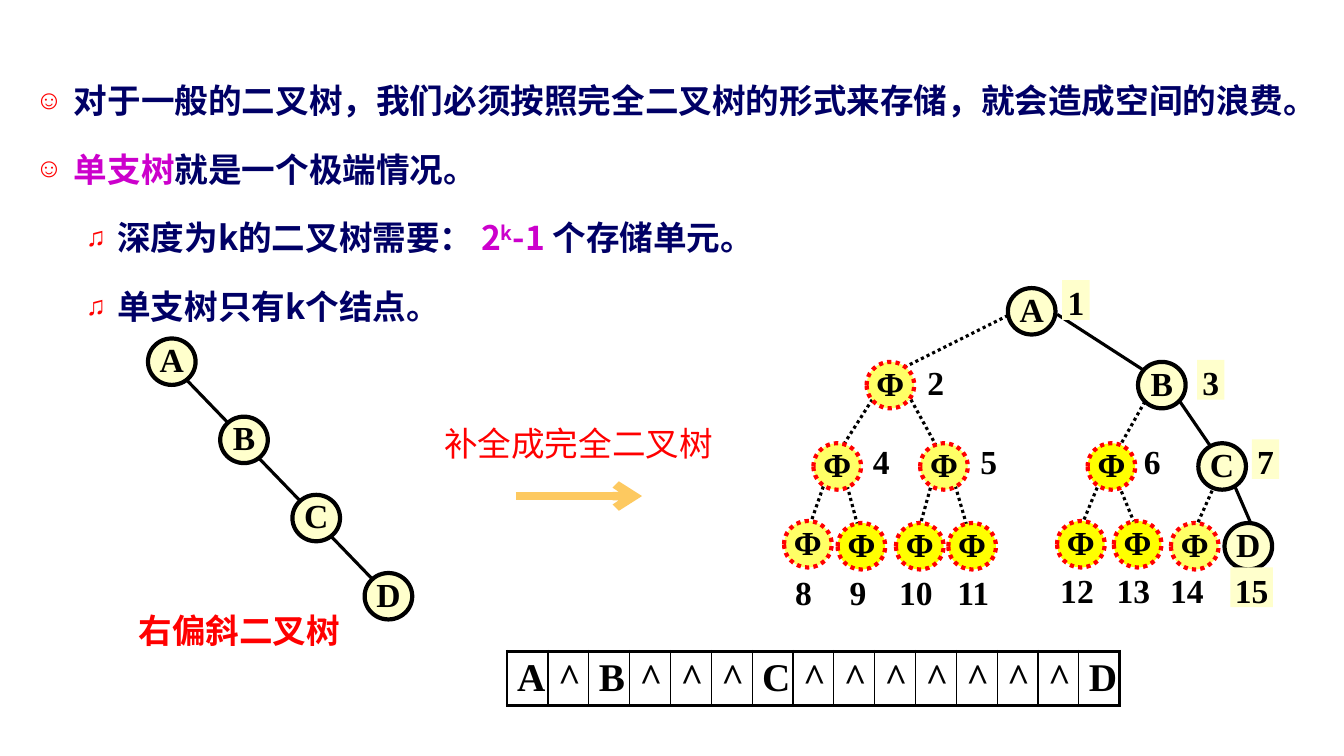
from lxml import etree
from pptx import Presentation
from pptx import util as u
from pptx.dml.color import RGBColor
from pptx.enum import dml, shapes, text
from pptx.oxml import ns

Cm, Pt = u.Cm, u.Pt
COLORS = {"navy": "000066", "purple": "CC00CC", "red": "FF0000", "black": "000000",
          "cream": "FFFFCC", "lemon": "FFFF66", "yellow": "FFFF00", "gold": "FDC960"}
CJK, SERIF = "Noto Sans CJK SC", "Times New Roman"
NODE_WIDTH, NODE_HEIGHT = 1.2, 1.17

BODY = [
    (0, [("对于一般的二叉树，我们必须按照完全二叉树的形式来存储，就会造成空间的浪费。", "navy")]),
    (0, [("单支树", "purple"), ("就是一个极端情况。", "navy")]),
    (1, [("深度为k的二叉树需要： ", "navy"), ("2", "purple"), ("k", "purple"),
         ("-1 ", "purple"), ("个存储单元。", "navy")]),
    (1, [("单支树只有k个结点。", "navy")]),
]
INDENTS = [("☺", 0.97, -0.97), ("♫", 2.06, -0.79)]

LETTERS = {1: "A", 3: "B", 7: "C", 15: "D"}
LEMON_NODES = {2, 4, 5, 8, 14}
NODES = [(5.64, 0.2), (2.08, 2.06), (8.92, 2.06), (0.74, 4.11), (3.43, 4.11),
         (7.65, 4.11), (10.44, 4.11), (0, 6.07), (1.35, 6.12), (2.82, 6.12),
         (4.14, 6.12), (6.88, 6.07), (8.31, 6.07), (9.75, 6.12), (11.1, 6.12)]
LABELS = [(7.01, 0), (3.61, 2.01), (10.41, 2.01), (2.24, 4.01), (4.95, 4.01),
          (9.07, 4.01), (11.79, 4.01), (0.28, 7.29), (1.65, 7.29), (2.9, 7.29),
          (4.37, 7.29), (6.96, 7.24), (8.38, 7.24), (9.73, 7.24), (11.25, 7.24)]
EDGES = [(5.64, 0.89, 2.9, 2.26), (6.88, 0.86, 9.17, 2.34), (2.31, 2.87, 1.45, 4.22),
         (3.12, 2.87, 3.86, 4.22), (9.17, 2.92, 8.41, 4.27), (9.88, 2.92, 10.77, 4.22),
         (1.04, 5.05, 0.64, 6.2), (1.55, 5.03, 1.85, 6.17), (3.73, 5.08, 3.43, 6.17),
         (4.27, 5.03, 4.6, 6.17), (7.95, 5.08, 7.49, 6.2), (8.38, 5.03, 8.86, 6.2),
         (10.85, 5.16, 10.41, 6.15), (11.33, 5.13, 11.76, 6.12)]


def rgb(name):
    """Return the named colour."""
    return RGBColor.from_string(COLORS[name])


def add_element(parent, tag, **attributes):
    """Append a DrawingML element to its parent."""
    return etree.SubElement(parent, ns.qn("a:" + tag), attributes)


def format_run(run, font, color, size=24, bold=True):
    """Set the face, size and colour of a run."""
    run.font.name, run.font.size, run.font.bold = font, Pt(size), bold
    run.font.color.rgb = rgb(color)
    add_element(run.font._element, "ea", typeface=font)


def write(shape, words, font, color, align, margins=(0, 0), bold=True, spacing=1.0):
    """Put one formatted paragraph into a shape."""
    frame = shape.text_frame
    frame.word_wrap = True
    frame.margin_left = frame.margin_right = 0
    frame.margin_top, frame.margin_bottom = [Cm(margin) for margin in margins]
    frame.text = words
    paragraph = frame.paragraphs[0]
    paragraph.alignment = align
    paragraph.line_spacing = spacing
    format_run(paragraph.runs[0], font, color, bold=bold)


def add_line(slide, start, end, color="black", width=2.25, dotted=False):
    """Draw a straight line between two points in centimetres."""
    line = slide.shapes.add_connector(
        shapes.MSO_CONNECTOR.STRAIGHT, *[Cm(value) for value in (*start, *end)])
    line.line.color.rgb = rgb(color)
    line.line.width = Pt(width)
    if dotted:
        line.line.dash_style = dml.MSO_LINE.ROUND_DOT
    add_element(line._element.spPr, "effectLst")
    return line


def add_node(slide, left, top, letter, fill="cream", dotted=False):
    """Draw a round tree node with its letter."""
    node = slide.shapes.add_shape(shapes.MSO_SHAPE.OVAL, Cm(left), Cm(top),
                                  Cm(NODE_WIDTH), Cm(NODE_HEIGHT))
    node.shadow.inherit = False
    node.fill.solid()
    node.fill.fore_color.rgb = rgb(fill)
    node.line.color.rgb = rgb("red" if dotted else "black")
    node.line.width = Pt(3)
    if dotted:
        node.line.dash_style = dml.MSO_LINE.ROUND_DOT
    node.text_frame.vertical_anchor = text.MSO_ANCHOR.MIDDLE
    write(node, letter, SERIF, "black", text.PP_ALIGN.CENTER, spacing=0.9)


def add_caption(slide, left, top, width, words, bold):
    """Add a centred red caption."""
    caption = slide.shapes.add_textbox(Cm(left), Cm(top), Cm(width), Cm(1.27))
    write(caption, words, CJK, "red", text.PP_ALIGN.CENTER, (0.13, 0.13), bold)


def fill_body(slide, left, top, width, height):
    """Place the bulleted statements in the body placeholder."""
    body = slide.placeholders[1]
    body.left, body.top, body.width, body.height = Cm(left), Cm(top), Cm(width), Cm(height)
    frame = body.text_frame
    frame.auto_size = text.MSO_AUTO_SIZE.NONE
    frame.vertical_anchor = text.MSO_ANCHOR.TOP
    for index, (level, parts) in enumerate(BODY):
        paragraph = frame.paragraphs[0] if index == 0 else frame.add_paragraph()
        paragraph.level = level
        bullet, margin, indent = INDENTS[level]
        properties = paragraph._p.get_or_add_pPr()
        properties.set("marL", str(Cm(margin)))
        properties.set("indent", str(Cm(indent)))
        add_element(add_element(properties, "buClr"), "srgbClr", val=COLORS["red"])
        add_element(properties, "buSzPct", val="80000")
        add_element(properties, "buChar", char=bullet)
        paragraph.line_spacing = 1.5
        paragraph.space_before = Pt(6 if index else 0)
        for words, color in parts:
            run = paragraph.add_run()
            run.text = words
            format_run(run, CJK, color)
            if words == "k":
                run.font._element.set("baseline", "30000")


def add_skewed_tree(slide, left, top):
    """Draw the right-skewed tree and its caption."""
    step_x, step_y = 1.82, 1.97
    for index, letter in enumerate("ABCD"):
        x, y = left + index * step_x, top + index * step_y
        if index:
            add_line(slide, (x - 0.87, y - 0.95), (x + 0.23, y + 0.19))
        add_node(slide, x, y, letter)
    add_caption(slide, left - 1.27, top + 6.71, 7.14, "右偏斜二叉树", True)


def add_complete_tree(slide, left, top):
    """Draw the completed tree with numbered nodes."""
    for number, (x1, y1, x2, y2) in enumerate(EDGES, 2):
        add_line(slide, (left + x1, top + y1), (left + x2, top + y2),
                 dotted=number not in LETTERS)
    for number, (x, y) in enumerate(NODES, 1):
        real = number in LETTERS
        fill = "cream" if real else "lemon" if number in LEMON_NODES else "yellow"
        add_node(slide, left + x, top + y, LETTERS.get(number, "Φ"), fill, not real)
    for number, (x, y) in enumerate(LABELS, 1):
        label = slide.shapes.add_textbox(Cm(left + x), Cm(top + y),
                                         Cm(0.69 if number < 10 else 1.07), Cm(1))
        align = text.PP_ALIGN.JUSTIFY
        if number in LETTERS:
            label.fill.solid()
            label.fill.fore_color.rgb = rgb("cream")
            align = text.PP_ALIGN.CENTER
        write(label, str(number), SERIF, "black", align, (0.05, 0))


def add_completion_arrow(slide, left, top):
    """Draw the arrow between the trees with its caption."""
    add_caption(slide, left, top, 8.64, "补全成完全二叉树", False)
    arrow = add_line(slide, (left + 2.74, top + 1.98), (left + 5.92, top + 1.98), "gold", 6)
    add_element(arrow.line._get_or_add_ln(), "tailEnd", type="arrow")


def add_storage_table(slide, left, top, width, height):
    """Show the array that stores the completed tree."""
    count = len(NODES)
    table = slide.shapes.add_table(1, count, Cm(left), Cm(top), Cm(width), Cm(height)).table
    table.first_row = table.horz_banding = False
    for index, cell in enumerate(table.rows[0].cells):
        table.columns[index].width = Cm(width / count)
        cell.text_frame.text = LETTERS.get(index + 1, "^")
        format_run(cell.text_frame.paragraphs[0].runs[0], SERIF, "black", 28)
        properties = cell._tc.get_or_add_tcPr()
        widths = {"lnL": 1 if index else 2.25, "lnR": 1 if index < count - 1 else 2.25,
                  "lnT": 2.25, "lnB": 2.25}
        for side, points in widths.items():
            border = add_element(properties, side, w=str(Pt(points)))
            add_element(add_element(border, "solidFill"), "srgbClr", val=COLORS["black"])
        cell.fill.background()


def main():
    """Build and save the slide."""
    presentation = Presentation()
    presentation.slide_width, presentation.slide_height = Cm(33.87), Cm(19.05)
    slide = presentation.slides.add_slide(presentation.slide_layouts[1])
    title = slide.shapes.title._element
    title.getparent().remove(title)
    fill_body(slide, 0.64, 1.37, 32.82, 11.94)
    add_storage_table(slide, 12.78, 16.41, 15.44, 1.36)
    add_skewed_tree(slide, 3.73, 8.53)
    add_complete_tree(slide, 19.76, 7.06)
    add_completion_arrow(slide, 10.26, 10.52)
    presentation.save("out.pptx")


if __name__ == "__main__":
    main()
